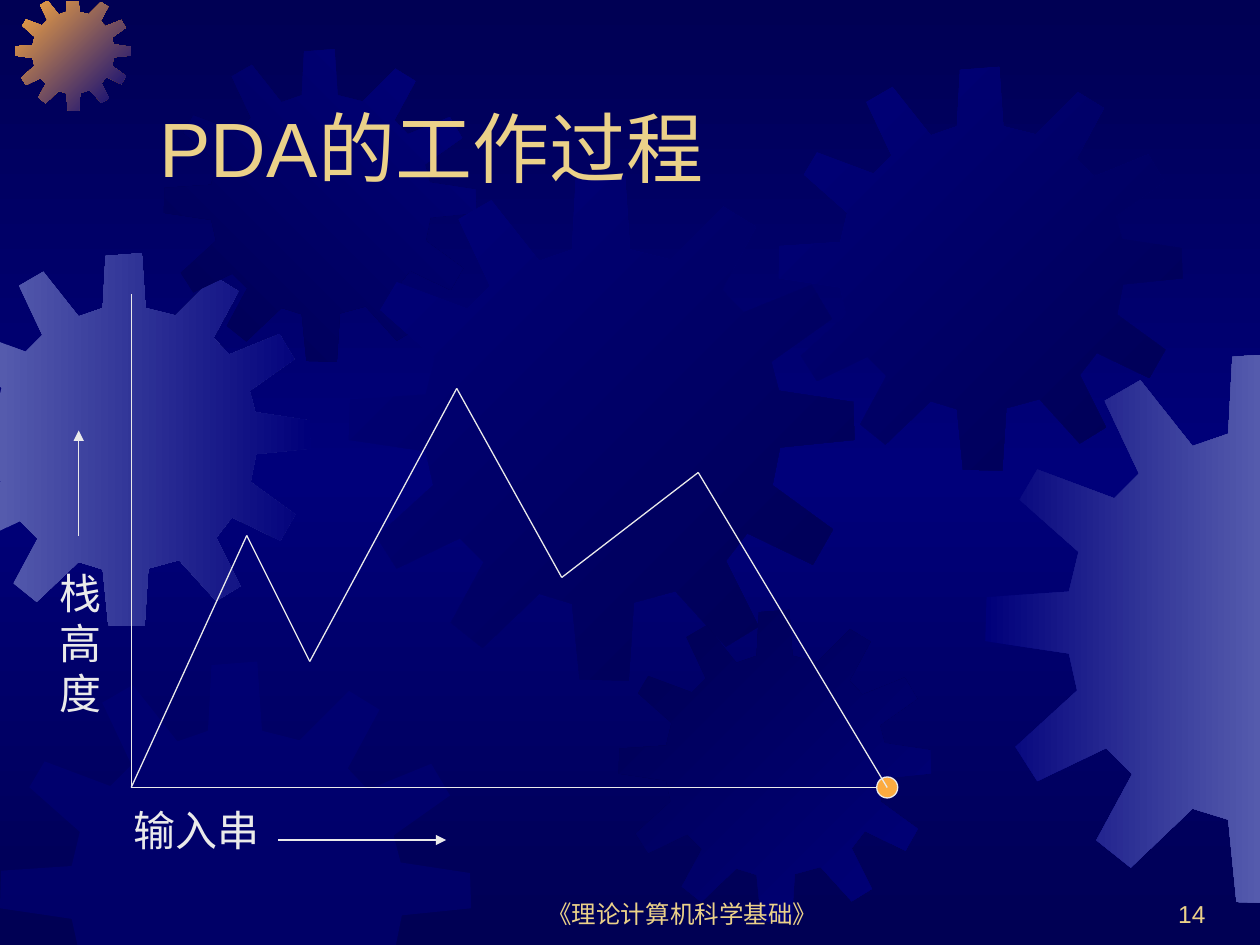
import copy
import itertools

import lxml.etree
import pptx
import pptx.dml.color
import pptx.enum.dml
import pptx.enum.shapes
import pptx.enum.text
import pptx.oxml.ns
import pptx.util

Pt = pptx.util.Pt
qn = pptx.oxml.ns.qn
ALIGN = pptx.enum.text.PP_ALIGN
ANCHOR = pptx.enum.text.MSO_ANCHOR

PAGE_WIDTH, PAGE_HEIGHT = 720, 540
NAVY, BLUE, LILAC = "000054", "00007A", "555BAD"
ORANGE, GOLD, WHITE = "FCAB40", "EBD189", "EAEAEA"

GEAR_SIZE = 401
GEAR_OUTLINE = [
    (255, 67), (223, 59), (219, 0), (180, 3), (177, 59), (151, 68),
    (113, 20), (87, 35), (112, 88), (94, 106), (38, 85), (25, 107),
    (68, 145), (61, 174), (1, 178), (0, 210), (61, 219), (67, 246),
    (22, 287), (38, 312), (88, 288), (107, 307), (81, 355), (106, 375),
    (151, 332), (177, 340), (183, 400), (222, 401), (226, 339), (259, 330),
    (299, 374), (325, 358), (299, 306), (316, 284), (368, 309), (384, 281),
    (336, 246), (342, 216), (401, 210), (400, 180), (341, 171), (335, 148),
    (383, 114), (367, 87), (313, 109), (296, 91), (323, 41), (297, 25),
]
GEARS = [
    ((-35.3, 144.7, 213.1), [LILAC, BLUE], 0),
    ((8.6, -2.9, 66.2), [ORANGE, BLUE], 45),
    ((93.6, 28.1, 178.6), [NAVY, BLUE], 315),
    ((199.4, 100.1, 288.9), [BLUE, NAVY], 45),
    ((0, 378, 269.3), [BLUE], 0),
    ((353.5, 348.5, 178.6), [NAVY, BLUE], 45),
    ((445, 38.2, 230.7), [BLUE, NAVY], 45),
    ((563, 201.6, 314.6), [BLUE, LILAC], 0),
]
STACK_HEIGHTS = [(0, 0), (66, 144), (102, 72), (186, 228),
                 (246, 120), (324, 180), (432, 0)]


def color(value):
    return pptx.dml.color.RGBColor.from_string(value)


def paint_gradient(element, fill, colors, angle):
    fill.gradient()
    fill.gradient_angle = -angle % 360
    stop_list = next(element.iter(qn("a:gsLst")))
    while len(stop_list) < len(colors):
        stop_list.append(copy.deepcopy(stop_list[-1]))
    for index, (stop, value) in enumerate(zip(fill.gradient_stops, colors)):
        stop.color.rgb = color(value)
        stop.position = index / (len(colors) - 1)


def clip(points, axis, limit, sign):
    kept = []
    for start, end in zip(points[-1:] + points[:-1], points):
        start_inside = (start[axis] - limit) * sign >= 0
        end_inside = (end[axis] - limit) * sign >= 0
        if start_inside != end_inside:
            share = (limit - start[axis]) / (end[axis] - start[axis])
            kept.append(tuple(a + share * (b - a) for a, b in zip(start, end)))
        if end_inside:
            kept.append(end)
    return kept


def add_gear(page, box, colors, angle):
    left, top, size = box
    scale = size / GEAR_SIZE
    points = [(left + x * scale, top + y * scale) for x, y in GEAR_OUTLINE]
    for axis, limit, sign in [(0, 0, 1), (0, PAGE_WIDTH, -1),
                              (1, 1, 1), (1, PAGE_HEIGHT, -1)]:
        points = clip(points, axis, limit, sign)
    corners = [(Pt(x), Pt(y)) for x, y in points]
    builder = page.shapes.build_freeform(*corners[0])
    builder.add_line_segments(corners[1:], close=True)
    gear = builder.convert_to_shape()
    gear.shadow.inherit = False
    gear.line.fill.background()
    if len(colors) > 1:
        paint_gradient(gear.element, gear.fill, colors, angle)
    else:
        gear.fill.solid()
        gear.fill.fore_color.rgb = color(colors[0])
        tint = next(gear.element.spPr.iter(qn("a:srgbClr")))
        lxml.etree.SubElement(tint, qn("a:alpha"), val="50000")


def write(shape, text, size, value, font="Arial", align=ALIGN.LEFT,
          anchor=ANCHOR.TOP):
    frame = shape.text_frame
    frame.word_wrap = True
    frame.auto_size = pptx.enum.text.MSO_AUTO_SIZE.NONE
    frame.vertical_anchor = anchor
    para = frame.paragraphs[0]
    para.alignment = align
    span = para.add_run()
    span.text = text
    span.font.name = font
    span.font.size = Pt(size)
    span.font.color.rgb = color(value)


def add_text(page, box, text, size, value, **style):
    shape = page.shapes.add_textbox(*map(Pt, box))
    write(shape, text, size, value, **style)


def add_line(page, start, end, arrow=False):
    line = page.shapes.add_connector(
        pptx.enum.shapes.MSO_CONNECTOR.STRAIGHT, *map(Pt, start + end))
    line.line.color.rgb = color(WHITE)
    line.line.width = Pt(0.75)
    if arrow:
        lxml.etree.SubElement(line.line._get_or_add_ln(), qn("a:tailEnd"),
                              type="triangle")
    lxml.etree.SubElement(line.element.spPr, qn("a:effectLst"))


def add_backdrop(page):
    fill = page.background.fill
    paint_gradient(page.element, fill, [NAVY, BLUE, NAVY], 90)
    for box, colors, angle in GEARS:
        add_gear(page, box, colors, angle)


def add_title(page, box, text):
    title = page.shapes.title
    title.left, title.top, title.width, title.height = map(Pt, box)
    write(title, text, 44, GOLD, anchor=ANCHOR.BOTTOM)
    page.shapes.element.append(title.element)


def add_footer(page, box):
    left, top, width, height = box
    for offset, part, text, align in [
            (0, 228, "《理论计算机科学基础》", ALIGN.CENTER),
            (width - 150, 150, "14", ALIGN.RIGHT)]:
        add_text(page, (left + offset, top, part, height), text, 14, GOLD,
                 align=align, anchor=ANCHOR.BOTTOM)


def add_stack_graph(page, box):
    left, top, width, height = box
    origin_x, origin_y = left + 48, top + 282
    add_line(page, (origin_x, origin_y), (left + width, origin_y))
    add_line(page, (origin_x, origin_y), (origin_x, top))
    add_text(page, (left + 42, top + 288, 102, 36), "输入串", 24, WHITE,
             font="Arial Narrow")
    add_text(page, (left, top + 152.5, 36, 93.5), "栈高度", 24, WHITE,
             font="Arial Narrow")
    add_line(page, (left + 132, top + 312), (left + 228, top + 312), arrow=True)
    add_line(page, (left + 18, top + 138), (left + 18, top + 78), arrow=True)

    points = [(origin_x + x, origin_y - y) for x, y in STACK_HEIGHTS]
    end_x, end_y = points[-1]
    dot = page.shapes.add_shape(pptx.enum.shapes.MSO_SHAPE.OVAL,
                                Pt(end_x - 6), Pt(end_y - 6), Pt(12), Pt(12))
    dot.shadow.inherit = False
    dot.fill.solid()
    dot.fill.fore_color.rgb = color(ORANGE)
    dot.line.color.rgb = color(WHITE)
    dot.line.width = Pt(0.75)
    for start, end in itertools.pairwise(points):
        add_line(page, start, end)


def main():
    deck = pptx.Presentation()
    deck.slide_width, deck.slide_height = Pt(PAGE_WIDTH), Pt(PAGE_HEIGHT)
    page = deck.slides.add_slide(deck.slide_layouts[5])
    add_backdrop(page)
    add_footer(page, (276, 498, 420, 36))
    add_title(page, (84, 24, 612, 90), "PDA的工作过程")
    add_stack_graph(page, (27, 168, 486, 324))
    deck.save("out.pptx")


if __name__ == "__main__":
    main()
